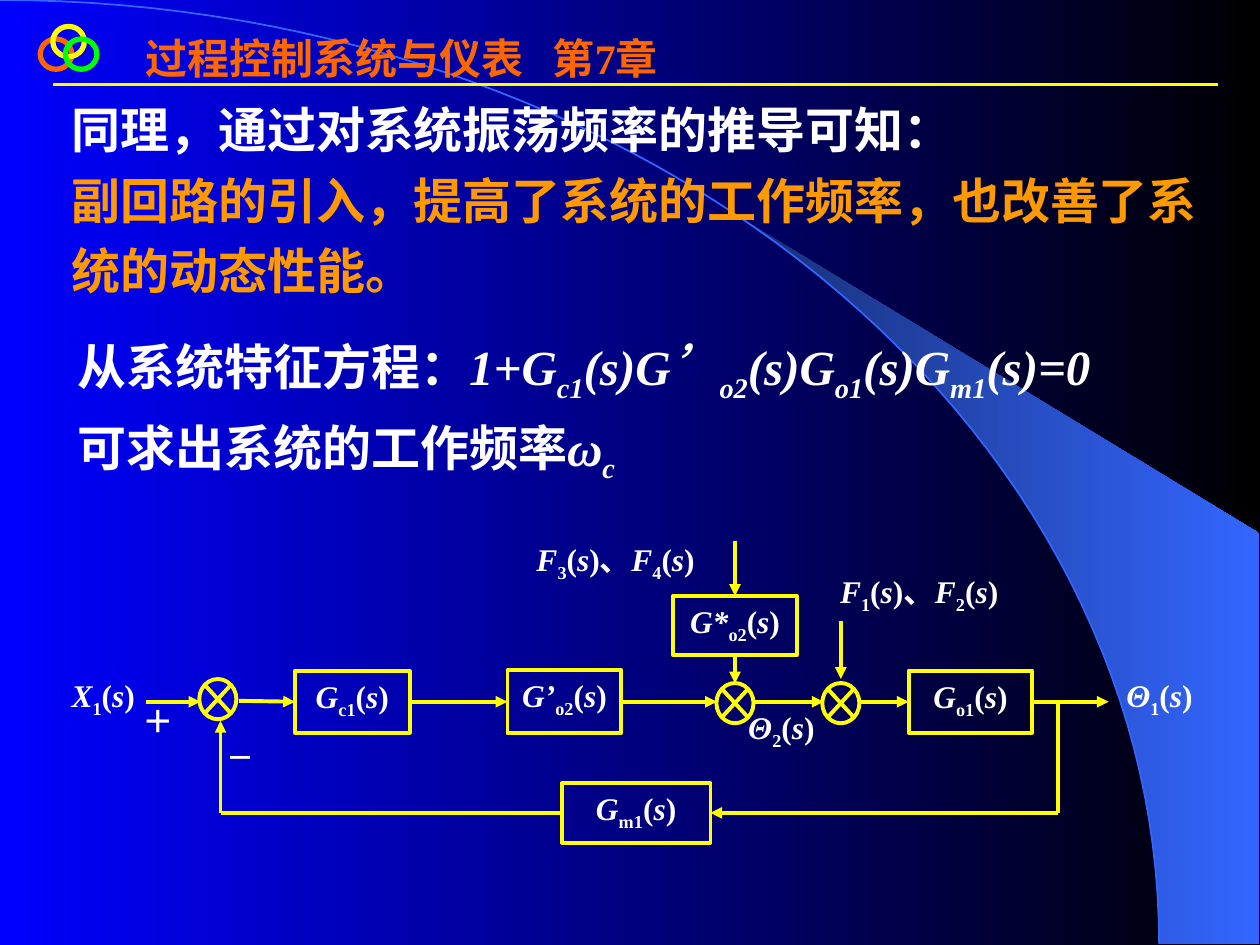
"""Build the slide on the working frequency of a cascade control system."""
from dataclasses import dataclass
from math import asin, cos, pi, sin
from typing import NamedTuple, Optional, Union

from lxml.etree import SubElement
from pptx import Presentation
from pptx.dml.color import RGBColor
from pptx.enum.shapes import MSO_CONNECTOR, MSO_SHAPE
from pptx.enum.text import MSO_ANCHOR as Anchor, PP_ALIGN as Align
from pptx.oxml.ns import qn
from pptx.util import Pt

COLORS = {
    "white": "FFFFFF", "yellow": "FFFF00", "amber": "FF9900", "orange": "FF6600",
    "green": "00FF00", "blue": "0000FF", "black": "000000", "sky": "3366FF", "navy": "182F76",
}
FONT = "Times New Roman"
WIDTH, HEIGHT = 720, 540
ARC_WIDTH, ARC_HEIGHT = 662.4, 539.3
MAIN, FEEDBACK = 401, 464.5
TOP, LEFT, BOTTOM, RIGHT = range(4)


class Span(NamedTuple):
    text: str
    italic: bool = False
    sub: bool = False


@dataclass
class Line:
    spans: list[Span]
    color: str = "white"


@dataclass
class Label:
    lines: list[Line]
    left: float
    top: float
    width: float
    height: float
    size: float = 18
    spacing: Optional[float] = None
    tab: Optional[float] = None


@dataclass
class Block:
    spans: list[Span]
    center: float
    middle: float
    width: float
    height: float


class Port(NamedTuple):
    block: str
    side: int


class Point(NamedTuple):
    x: float
    y: float


class Wire(NamedTuple):
    start: Union[Port, Point]
    end: Union[Port, Point]
    arrow: bool = True


class Ring(NamedTuple):
    left: float
    top: float
    color: str


def symbol(name: str, sub: str) -> list[Span]:
    """Return the spans of a transfer function or signal in s."""
    return [Span(name, True), Span(sub, sub=True), Span("("), Span("s", True), Span(")")]


def pair(first: str, second: str) -> list[Span]:
    """Return the spans of two disturbances side by side."""
    return [*symbol("F", first), Span("、"), *symbol("F", second)]


EQUATION = [Span("从系统特征方程："), Span("1+G", True), Span("c1", True, True), Span("(s)G’", True),
            Span("o2", True, True), Span("(s)G", True), Span("o1", True, True),
            Span("(s)G", True), Span("m1", True, True), Span("(s)=0", True)]
FREQUENCY = [Span("可求出系统的工作频率"), Span("ω", True), Span("c", True, True)]

LABELS = [
    Label([Line([Span("过程控制系统与仪表\t第7章")], "orange")], 76.3, 15.1, 323, 65, 24, tab=232.5),
    Label([Line([Span("同理，通过对系统振荡频率的推导可知：")]),
           Line([Span("副回路的引入，提高了系统的工作频率，也改善了系统的动态性能。")], "amber")],
          33.8, 46.8, 659, 128, 28, 1.2),
    Label([Line(EQUATION), Line(FREQUENCY)], 37.4, 181.4, 656, 99, 28, 1.2),
    Label([Line(symbol("X", "1"))], 33.8, 383, 53.5, 40),
    Label([Line(symbol("Θ", "1"))], 636.5, 383, 57, 40),
    Label([Line(symbol("Θ", "2"))], 420.5, 401, 63.5, 33),
    Label([Line(pair("3", "4"))], 299.5, 305.3, 127.5, 30),
    Label([Line(pair("1", "2"))], 473, 323.3, 124, 30),
    Label([Line([Span("＋")])], 74.2, 397.4, 39.6, 45),
    Label([Line([Span("－")])], 122.4, 419.8, 31, 27, 16),
]
BLOCKS = {
    "main controller": Block(symbol("G", "c1"), 201.3, MAIN, 65.5, 35.5),
    "inner loop": Block(symbol("G’", "o2"), 322.5, MAIN, 65, 36),
    "disturbance path": Block(symbol("G*", "o2"), 420, 357.5, 70.5, 34),
    "main process": Block(symbol("G", "o1"), 554.5, MAIN, 70.5, 35.5),
    "transmitter": Block(symbol("G", "m1"), 363.5, FEEDBACK, 85, 34),
}
JUNCTIONS = [Point(124.5, 399.5), Point(420, 401.8), Point(480.5, 401.8)]
WIRES = [
    Wire(Point(83.5, MAIN), Point(114.5, MAIN)),
    Wire(Point(136.5, 400.5), Port("main controller", LEFT)),
    Wire(Port("main controller", RIGHT), Port("inner loop", LEFT)),
    Wire(Port("inner loop", RIGHT), Point(409.7, MAIN)),
    Wire(Point(420, 309), Port("disturbance path", TOP)),
    Wire(Port("disturbance path", BOTTOM), Point(420, 390.5)),
    Wire(Point(430.5, MAIN), Point(470.7, MAIN)),
    Wire(Point(480.5, 355), Point(480.5, 388)),
    Wire(Point(491, MAIN), Port("main process", LEFT)),
    Wire(Port("main process", RIGHT), Point(633.5, MAIN)),
    Wire(Point(604.8, MAIN), Point(604.8, FEEDBACK), False),
    Wire(Point(604.8, FEEDBACK), Port("transmitter", RIGHT)),
    Wire(Port("transmitter", LEFT), Point(126, FEEDBACK), False),
    Wire(Point(126, FEEDBACK), Point(126, 412)),
]
RINGS = [Ring(23, 22.3, "orange"), Ring(30.2, 15.1, "yellow"), Ring(37.4, 22.3, "green")]


def rgb(name: str) -> RGBColor:
    """Return a named colour."""
    return RGBColor.from_string(COLORS[name])


def set_gradient(fill, first: str, last: str) -> None:
    """Fill from left to right between two colours."""
    fill.gradient()
    fill.gradient_angle = 0
    for stop, name in zip(fill.gradient_stops, (first, last)):
        stop.color.rgb = rgb(name)


def set_outline(shape, color: str, width: float) -> None:
    """Give a shape an outline only."""
    shape.shadow.inherit = False
    shape.fill.background()
    shape.line.color.rgb = rgb(color)
    shape.line.width = Pt(width)


def write(frame, lines: list[Line], size: float, align: Align = Align.LEFT,
          spacing: Optional[float] = None, tab: Optional[float] = None) -> None:
    """Write lines of spans into a text frame."""
    frame.word_wrap = True
    frame.vertical_anchor = Anchor.TOP
    for index, line in enumerate(lines):
        para = frame.add_paragraph() if index else frame.paragraphs[0]
        para.alignment = align
        if spacing:
            para.line_spacing = spacing
        if tab:
            tabs = SubElement(para._p.get_or_add_pPr(), qn("a:tabLst"))
            SubElement(tabs, qn("a:tab"), pos=str(Pt(tab)), algn="l")
        font = para.font
        font.name, font.size, font.bold = FONT, Pt(size), True
        font.color.rgb = rgb(line.color)
        for span in line.spans:
            run = para.add_run()
            run.text = span.text
            if span.italic:
                run.font.italic = True
            if span.sub:
                run._r.get_or_add_rPr().set("baseline", "-25000")


def add_outline_shape(page, kind: MSO_SHAPE, center: Point, width: float, height: float,
                      color: str = "yellow", weight: float = 2.25):
    """Add an unfilled preset shape around a centre."""
    shape = page.shapes.add_shape(kind, Pt(center.x - width / 2), Pt(center.y - height / 2),
                                  Pt(width), Pt(height))
    set_outline(shape, color, weight)
    return shape


def add_line(page, start: Point, end: Point, weight: float, arrow: bool = False):
    """Add a yellow straight connector."""
    line = page.shapes.add_connector(MSO_CONNECTOR.STRAIGHT, *map(Pt, (*start, *end)))
    line.line.color.rgb = rgb("yellow")
    line.line.width = Pt(weight)
    properties = line._element.spPr
    if arrow:
        SubElement(properties.find(qn("a:ln")), qn("a:tailEnd"), type="triangle")
    SubElement(properties, qn("a:effectLst"))
    return line


def locate(place: Union[Port, Point]) -> Point:
    """Return the point of a port or of a free end."""
    if isinstance(place, Point):
        return place
    block = BLOCKS[place.block]
    across, down = ((0, -1), (-1, 0), (0, 1), (1, 0))[place.side]
    return Point(block.center + across * block.width / 2, block.middle + down * block.height / 2)


def add_wire(page, wire: Wire, shapes: dict) -> None:
    """Add a signal path joined to its blocks."""
    line = add_line(page, locate(wire.start), locate(wire.end), 2.25, wire.arrow)
    for place, connect in ((wire.start, line.begin_connect), (wire.end, line.end_connect)):
        if isinstance(place, Port):
            connect(shapes[place.block], place.side)


def arc(first: float, steps: int = 60) -> list[tuple]:
    """Return points of the quarter ellipse from an angle to its end."""
    angles = (first + (pi / 2 - first) * step / steps for step in range(steps + 1))
    return [(Pt(ARC_WIDTH * sin(angle)), Pt(ARC_HEIGHT * (1 - cos(angle)))) for angle in angles]


def add_outline(page, points: list[tuple], close: bool):
    """Add a freeform through the points."""
    builder = page.shapes.build_freeform(*points[0])
    builder.add_line_segments(points[1:], close=close)
    return builder.convert_to_shape()


def add_backdrop(page) -> None:
    """Draw the background, the arc and the lit crescent."""
    set_gradient(page.background.fill, "blue", "black")
    corners = [(Pt(719.3), Pt(ARC_HEIGHT)), (Pt(719.3), Pt(304.6))]
    crescent = add_outline(page, arc(asin(424 / ARC_WIDTH)) + corners, True)
    crescent.shadow.inherit = False
    set_gradient(crescent.fill, "navy", "sky")
    crescent.line.fill.background()
    set_outline(add_outline(page, arc(0), False), "sky", 1)


def main() -> None:
    """Build and save the deck."""
    deck = Presentation()
    deck.slide_width, deck.slide_height = Pt(WIDTH), Pt(HEIGHT)
    page = deck.slides.add_slide(deck.slide_layouts[6])
    add_backdrop(page)
    add_line(page, Point(30.2, 48.2), Point(696.2, 48.2), 1.5)
    for ring in RINGS:
        add_outline_shape(page, MSO_SHAPE.OVAL, Point(ring.left + 9, ring.top + 8.65),
                          18, 17.3, ring.color, 3)
    shapes = {}
    for name, block in BLOCKS.items():
        shapes[name] = add_outline_shape(page, MSO_SHAPE.RECTANGLE, Point(block.center, block.middle),
                                         block.width, block.height)
        write(shapes[name].text_frame, [Line(block.spans)], 18, Align.CENTER)
    for junction in JUNCTIONS:
        add_outline_shape(page, MSO_SHAPE.FLOWCHART_SUMMING_JUNCTION, junction, 21.2, 23)
    for wire in WIRES:
        add_wire(page, wire, shapes)
    for label in LABELS:
        box = page.shapes.add_textbox(*map(Pt, (label.left, label.top, label.width, label.height)))
        write(box.text_frame, label.lines, label.size, spacing=label.spacing, tab=label.tab)
    deck.save("out.pptx")


if __name__ == "__main__":
    main()
